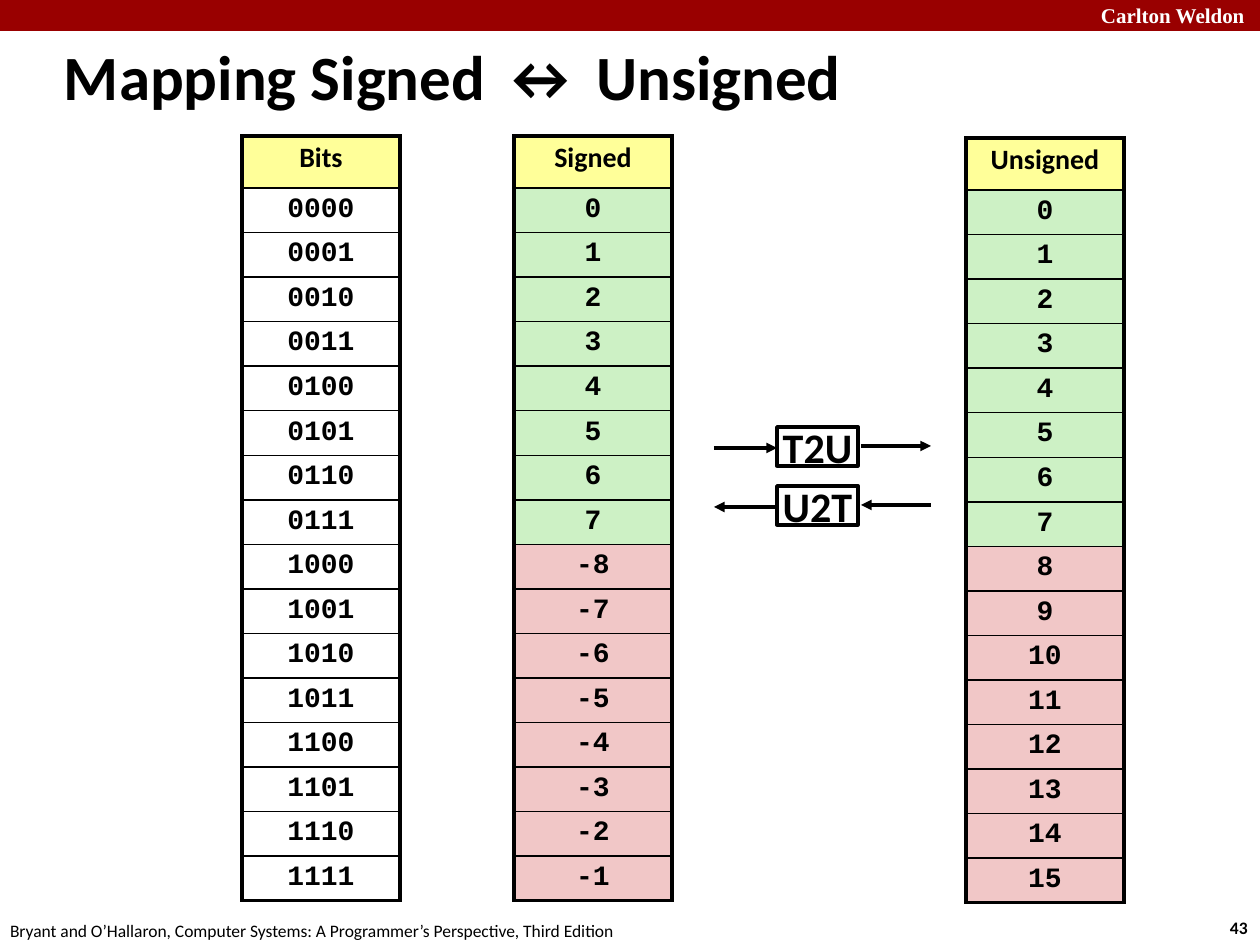
from lxml import etree
from pptx import Presentation
from pptx.dml.color import RGBColor
from pptx.enum.shapes import MSO_CONNECTOR, MSO_SHAPE
from pptx.enum.text import MSO_ANCHOR, PP_ALIGN
from pptx.oxml.ns import qn
from pptx.util import Emu, Pt

PX = 914400 // 126
RECT, STRAIGHT = MSO_SHAPE.RECTANGLE, MSO_CONNECTOR.STRAIGHT
LEFT, CENTER = PP_ALIGN.LEFT, PP_ALIGN.CENTER
TOP, MIDDLE = MSO_ANCHOR.TOP, MSO_ANCHOR.MIDDLE

BLACK = RGBColor(0x00, 0x00, 0x00)
WHITE = RGBColor(0xFF, 0xFF, 0xFF)
RED = RGBColor(0x99, 0x00, 0x00)
YELLOW = RGBColor(0xFF, 0xFF, 0x99)
GREEN = RGBColor(0xCD, 0xF1, 0xC5)
PINK = RGBColor(0xF1, 0xC7, 0xC7)

COL_W, HEAD_H, TABLE_H = 158, 52, 765
THICK, THIN = 2.25, 1


def px(n):
    return Emu(round(n * PX))


def write(tf, text, size=16, font="Calibri", color=BLACK, bold=True,
          align=LEFT, spacing=None):
    p = tf.paragraphs[0]
    p.alignment = align
    p.line_spacing = spacing
    r = p.add_run()
    r.text = text
    r.font.size = Pt(size)
    r.font.name = font
    r.font.bold = bold
    r.font.color.rgb = color


def add_text(s, x, y, w, h, text, inset=(13, 6), **fmt):
    tf = s.shapes.add_textbox(px(x), px(y), px(w), px(h)).text_frame
    tf.word_wrap = True
    tf.vertical_anchor = TOP
    tf.margin_left = tf.margin_right = px(inset[0])
    tf.margin_top = tf.margin_bottom = px(inset[1])
    write(tf, text, **fmt)


def add_box(s, x, y, w, h, fill, line=None):
    sp = s.shapes.add_shape(RECT, px(x), px(y), px(w), px(h))
    sp.shadow.inherit = False
    sp.fill.solid()
    sp.fill.fore_color.rgb = fill
    if line:
        sp.line.color.rgb = line
        sp.line.width = Pt(2)
    else:
        sp.line.fill.background()
    return sp


def add_arrow(s, x1, x2, y):
    c = s.shapes.add_connector(STRAIGHT, px(x1), px(y), px(x2), px(y))
    c.line.color.rgb = BLACK
    c.line.width = Pt(2)
    etree.SubElement(c.line._get_or_add_ln(), qn("a:tailEnd"), type="triangle")
    etree.SubElement(c._element.spPr, qn("a:effectLst"))


def set_borders(cell, **widths):
    tcPr = cell._tc.get_or_add_tcPr()
    for i, (side, width) in enumerate(widths.items()):
        ln = etree.Element(qn("a:ln" + side), w=str(Pt(width)))
        fill = etree.SubElement(ln, qn("a:solidFill"))
        etree.SubElement(fill, qn("a:srgbClr"), val=str(BLACK))
        tcPr.insert(i, ln)


def add_column(s, x, y, title, values, fills):
    """One-column table: a header, then one row per value."""
    rows = len(values) + 1
    table = s.shapes.add_table(rows, 1, px(x), px(y),
                               px(COL_W), px(TABLE_H)).table
    table.first_row = table.horz_banding = False
    colors = [YELLOW, *fills]
    for i, text in enumerate([title, *values]):
        header = i == 0
        table.rows[i].height = px(
            HEAD_H if header else (TABLE_H - HEAD_H) / len(values))
        cell = table.cell(i, 0)
        cell.margin_left = cell.margin_right = px(6)
        cell.margin_top = cell.margin_bottom = px(6)
        if colors[i] is None:
            cell.fill.background()
        else:
            cell.fill.solid()
            cell.fill.fore_color.rgb = colors[i]
        write(cell.text_frame, text, align=CENTER, spacing=0.95,
              font="Calibri" if header else "Courier New")
        set_borders(cell, L=THICK, R=THICK, T=THICK if header else THIN,
                    B=THICK if i == rows - 1 else THIN)


def add_mapping(s, y, name, to_right):
    """Named box with an arrow on either side."""
    sp = add_box(s, 777, y, 81, 39, WHITE, BLACK)
    tf = sp.text_frame
    tf.word_wrap = False
    tf.vertical_anchor = MIDDLE
    write(tf, name, size=24, align=CENTER)
    for x1, x2, dy in ((714, 777, 21), (861, 931, 19)):
        start, end = (x1, x2) if to_right else (x2, x1)
        add_arrow(s, start, end, y + dy)


def main():
    prs = Presentation()
    prs.slide_width, prs.slide_height = px(1260), px(945)
    s = prs.slides.add_slide(prs.slide_layouts[6])

    # Header band, title and footer
    add_box(s, 0, 0, 1260, 31, RED)
    add_text(s, 1088, -3, 180, 38, "Carlton Weldon", size=12,
             font="Times New Roman", color=WHITE)
    add_text(s, 55, 34, 940, 77, "Mapping Signed \u2194 Unsigned",
             inset=(9, 4), size=36)
    add_text(s, 1217, 911, 50, 34, "43", size=10)
    add_text(s, -3, 914, 660, 34,
             "Bryant and O\u2019Hallaron, Computer Systems: "
             "A Programmer\u2019s Perspective, Third Edition",
             size=10, bold=False)

    # Four-bit patterns and their two readings
    codes = range(16)
    halves = [GREEN] * 8 + [PINK] * 8
    signed = [str(n if n < 8 else n - 16) for n in codes]
    add_column(s, 514, 136, "Signed", signed, halves)
    add_column(s, 966, 138, "Unsigned", [str(n) for n in codes], halves)
    add_column(s, 242, 136, "Bits", [f"{n:04b}" for n in codes], [None] * 16)

    # Conversions in both directions
    add_mapping(s, 427, "T2U", to_right=True)
    add_mapping(s, 486, "U2T", to_right=False)

    prs.save("out.pptx")


main()
